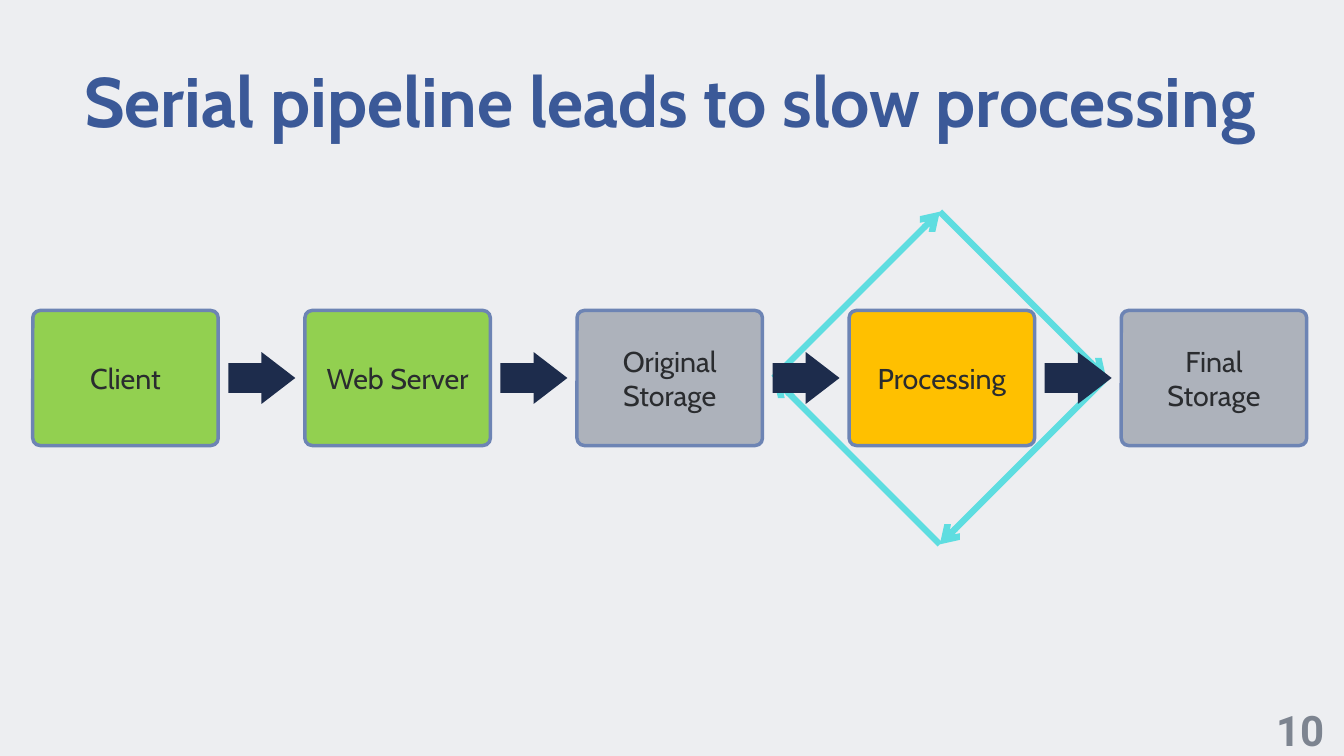
from pptx import Presentation
from pptx.dml.color import RGBColor
from pptx.enum.shapes import MSO_CONNECTOR, MSO_SHAPE
from pptx.enum.text import MSO_ANCHOR, PP_ALIGN
from pptx.oxml.ns import qn
from pptx.util import Inches, Pt
from lxml.etree import SubElement

COLORS = {
    "background": "EDEEF1", "title": "3B5998", "text": "2A2C2F",
    "number": "7D8490", "border": "6D84B4", "arrow": "1D2C4C",
    "cycle": "5EDDE0", "web": "92D050", "storage": "ADB2BB",
    "processing": "FFC000",
}
STAGES = [
    (["Client"], "web"),
    (["Web Server"], "web"),
    (["Original", "Storage"], "storage"),
    (["Processing"], "processing"),
    (["Final", "Storage"], "storage"),
]
LEFT, PITCH, MIDDLE = 0.65, 5.4, 7.5
BOX_W, BOX_H = 3.68, 2.68
ARROW_W, ARROW_H, ARROW_GAP = 1.33, 1.03, 0.2
CYCLE_X, CYCLE_R = 18.65, 3.3

TITLE = {"name": "Cabin", "size": Pt(100), "bold": True}
LABEL = {"name": "Cabin", "size": Pt(40.9), "bold": False}
NUMBER = {"name": "Roboto", "size": Pt(60), "bold": True}


def rgb(key):
    return RGBColor.from_string(COLORS[key])


def write(tf, lines, font, color, align, inset, anchor, spacing=None):
    frame = {"word_wrap": True, "vertical_anchor": anchor}
    frame |= {f"margin_{side}": Inches(inset)
              for side in ("left", "right", "top", "bottom")}
    for name, value in frame.items():
        setattr(tf, name, value)
    for i, line in enumerate(lines):
        p = tf.add_paragraph() if i else tf.paragraphs[0]
        p.alignment, p.line_spacing = align, spacing
        r = p.add_run()
        r.text = line
        r.font.color.rgb = rgb(color)
        for name, value in font.items():
            setattr(r.font, name, value)


def add_text(s, box, *args, **kwargs):
    tb = s.shapes.add_textbox(*map(Inches, box))
    write(tb.text_frame, *args, **kwargs)


def add_solid(s, kind, box, adjustments, fill):
    sp = s.shapes.add_shape(kind, *map(Inches, box))
    sp.shadow.inherit = False
    sp.fill.solid()
    sp.fill.fore_color.rgb = rgb(fill)
    sp.line.fill.background()
    for i, value in enumerate(adjustments):
        sp.adjustments[i] = value
    return sp


def add_stage(s, col, lines, fill):
    box = (LEFT + col * PITCH, MIDDLE - BOX_H / 2, BOX_W, BOX_H)
    sp = add_solid(s, MSO_SHAPE.ROUNDED_RECTANGLE, box, [0.054], fill)
    sp.line.color.rgb = rgb("border")
    sp.line.width = Pt(5)
    write(sp.text_frame, lines, LABEL, "text", PP_ALIGN.CENTER, 0.04,
          MSO_ANCHOR.MIDDLE)


def add_step_arrow(s, col):
    x = LEFT + col * PITCH + BOX_W + ARROW_GAP
    box = (x, MIDDLE - ARROW_H / 2, ARROW_W, ARROW_H)
    add_solid(s, MSO_SHAPE.RIGHT_ARROW, box, [0.571, 0.651], "arrow")


def add_cycle(s):
    corners = [(CYCLE_X + dx * CYCLE_R, MIDDLE + dy * CYCLE_R)
               for dx, dy in ((0, -1), (1, 0), (0, 1), (-1, 0))]
    for start, end in zip(corners, corners[1:] + corners[:1]):
        c = s.shapes.add_connector(MSO_CONNECTOR.STRAIGHT,
                                   *map(Inches, start + end))
        c.line.color.rgb = rgb("cycle")
        c.line.width = Pt(9)
        SubElement(c.line._get_or_add_ln(), qn("a:tailEnd"), type="arrow")
        SubElement(c._element.spPr, qn("a:effectLst"))


def main():
    prs = Presentation()
    prs.slide_width, prs.slide_height = Inches(26.67), Inches(15)
    s = prs.slides.add_slide(prs.slide_layouts[6])
    s.background.fill.solid()
    s.background.fill.fore_color.rgb = rgb("background")

    add_cycle(s)
    add_text(s, (1.67, 1.14, 23.33, 2.01),
             ["Serial pipeline leads to slow processing"],
             TITLE, "title", PP_ALIGN.LEFT, 0, MSO_ANCHOR.TOP)
    for col, (lines, fill) in enumerate(STAGES):
        add_stage(s, col, lines, fill)
    for col in range(len(STAGES) - 1):
        add_step_arrow(s, col)
    add_text(s, (25, 13.82, 1.6, 1.21), ["10"], NUMBER, "number",
             PP_ALIGN.CENTER, 0.05, MSO_ANCHOR.TOP, spacing=1.1)
    prs.save("out.pptx")


if __name__ == "__main__":
    main()
